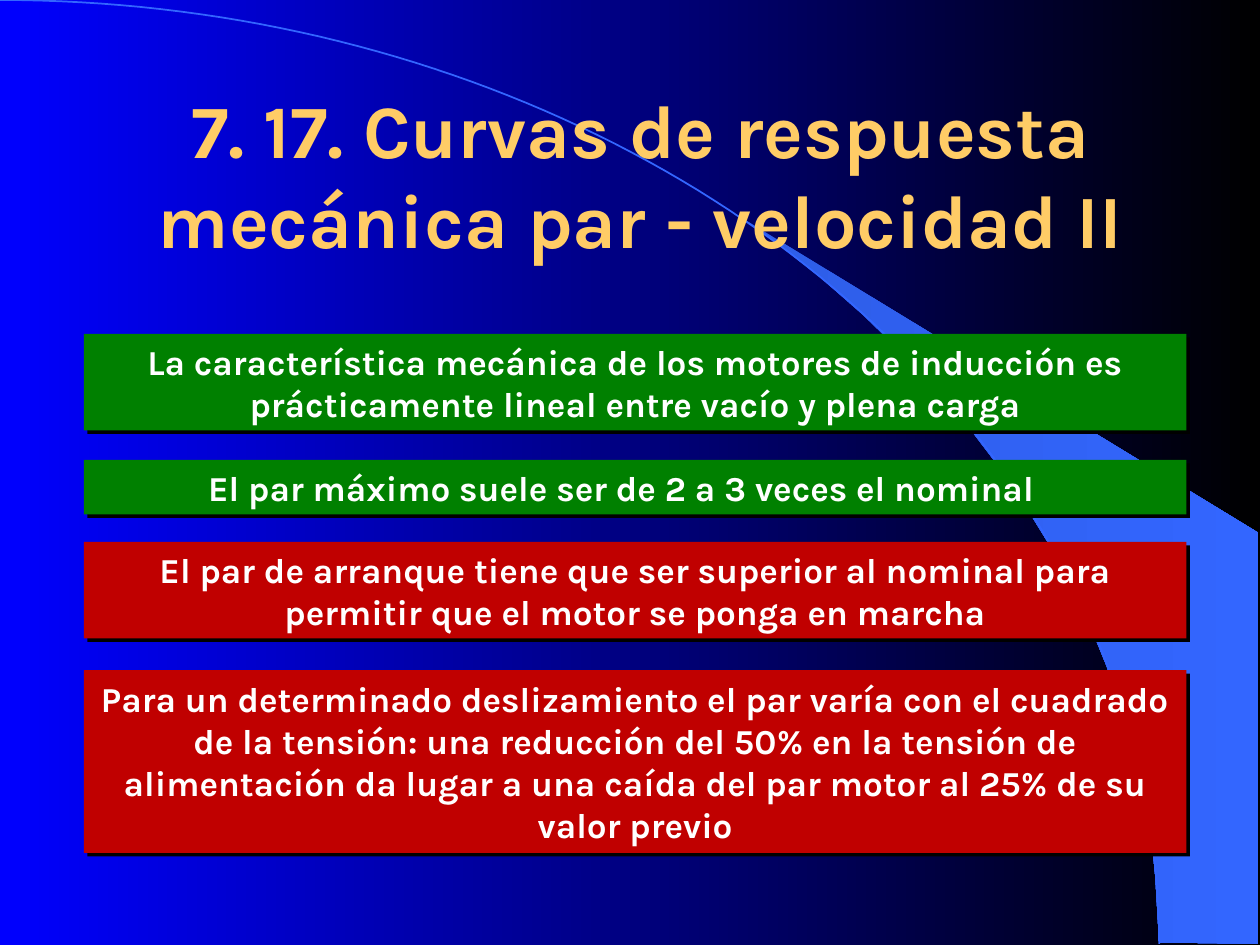
from math import cos, pi, sin
from lxml.etree import SubElement
from pptx import Presentation
from pptx.dml.color import RGBColor
from pptx.enum.shapes import MSO_SHAPE
from pptx.enum.text import MSO_ANCHOR, MSO_AUTO_SIZE, PP_ALIGN
from pptx.oxml.ns import qn
from pptx.util import Pt

HEX = {
    "blue": "0000FF", "black": "000000", "dusk": "2E5DE7", "sky": "3366FF",
    "gold": "FFCC66", "green": "008000", "red": "C00000", "white": "FFFFFF",
}
TITLE = "7. 17. Curvas de respuesta mecánica par - velocidad II"
BOXES = [
    ("green", 190.8, 55.2, 7.2, "La característica mecánica de los motores de inducción es prácticamente lineal entre vacío y plena carga"),
    ("green", 262.8, 31.2, 23, "El par máximo suele ser de 2 a 3 veces el nominal"),
    ("red", 309.6, 55.2, 7.2, "El par de arranque tiene que ser superior al nominal para permitir que el motor se ponga en marcha"),
    ("red", 383, 104.4, 7.2, "Para un determinado deslizamiento el par varía con el cuadrado de la tensión: una reducción del 50% en la tensión de alimentación da lugar a una caída del par motor al 25% de su valor previo"),
]
BEAM = [
    (662.4, 538.6), (719.3, 539.3), (719.3, 304.6), (424.1, 124.6),
    (449.3, 143.3), (470.2, 159.8), (493.2, 180), (515.5, 201.6),
    (548.6, 237.6), (578.2, 276.5), (599, 310.3), (617.8, 344.9),
    (632.2, 380.2), (643, 411.8), (650.2, 438.5), (657.4, 472.3),
    (660.2, 501.1),
]
WIDE, HIGH, STEPS = 662.4, 539.3, 90
ARC = [(WIDE * sin(i * pi / 2 / STEPS), HIGH * (1 - cos(i * pi / 2 / STEPS)))
       for i in range(STEPS + 1)]


def tint(name):
    return RGBColor.from_string(HEX[name])


def shade(fill, names):
    fill.gradient()
    fill.gradient_angle = 0
    for stop, name, place in zip(fill.gradient_stops, names, (0, 1)):
        stop.color.rgb = tint(name)
        stop.position = place


def trace(shapes, points, close):
    start, *rest = [(Pt(x), Pt(y)) for x, y in points]
    pen = shapes.build_freeform(*start)
    pen.add_line_segments(rest, close=close)
    shape = pen.convert_to_shape()
    shape.shadow.inherit = False
    return shape


def write(shape, text, size, name, right=7.2):
    frame = shape.text_frame
    form = {
        "text": text, "word_wrap": True, "vertical_anchor": MSO_ANCHOR.MIDDLE,
        "margin_left": Pt(7.2), "margin_right": Pt(right),
        "margin_top": Pt(3.6), "margin_bottom": Pt(3.6),
        "auto_size": MSO_AUTO_SIZE.NONE,
    }
    for key, value in form.items():
        setattr(frame, key, value)
    line = frame.paragraphs[0]
    line.alignment = PP_ALIGN.CENTER
    for key, value in {"name": "Karla", "size": Pt(size), "bold": True}.items():
        setattr(line.font, key, value)
    line.font.color.rgb = tint(name)


def cast(shape):
    shape.shadow.inherit = False
    group = shape.element.spPr.find(qn("a:effectLst"))
    drop = SubElement(group, qn("a:outerShdw"), dist=str(Pt(2.8)),
                      dir="2700000", algn="ctr", rotWithShape="0")
    SubElement(drop, qn("a:srgbClr"), val=HEX["black"])


def main():
    deck = Presentation()
    deck.slide_width, deck.slide_height = Pt(720), Pt(540)
    slide = deck.slides.add_slide(deck.slide_layouts[5])
    shade(slide.background.fill, ("blue", "black"))
    shapes = slide.shapes
    title = shapes.title

    beam = trace(shapes, BEAM, True)
    shade(beam.fill, ("dusk", "sky"))
    beam.line.fill.background()

    arc = trace(shapes, ARC, False)
    arc.fill.background()
    arc.line.color.rgb = tint("sky")
    arc.line.width = Pt(1)

    spot = {"left": 5.8, "top": 54, "width": 720, "height": 90}
    for key, value in spot.items():
        setattr(title, key, Pt(value))
    write(title, TITLE, 43, "gold")
    title.element.getparent().append(title.element)

    for name, top, high, right, text in BOXES:
        box = shapes.add_shape(MSO_SHAPE.RECTANGLE, Pt(48), Pt(top), Pt(630), Pt(high))
        box.fill.solid()
        box.fill.fore_color.rgb = tint(name)
        box.line.fill.background()
        cast(box)
        write(box, text, 20, "white", right)
        box.text_frame.auto_size = MSO_AUTO_SIZE.SHAPE_TO_FIT_TEXT

    deck.save("out.pptx")


if __name__ == "__main__":
    main()
